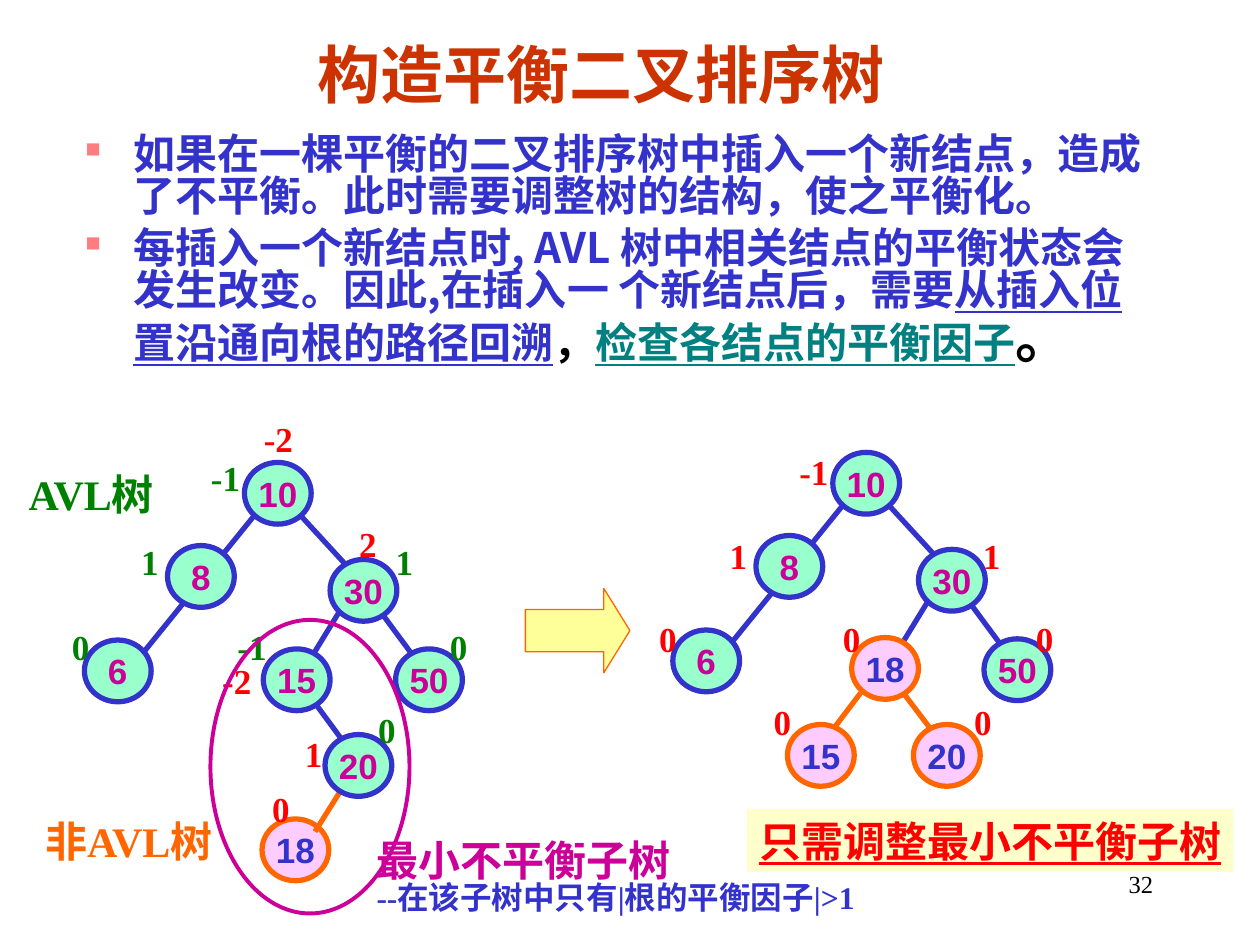
"""Build a slide on restoring the balance of a binary search tree."""
from lxml.etree import SubElement
from pptx import Presentation
from pptx.dml.color import RGBColor
from pptx.enum.shapes import MSO_CONNECTOR as Link, MSO_SHAPE as Shape
from pptx.enum.text import MSO_ANCHOR as Anchor, PP_ALIGN as Align
from pptx.oxml.ns import qn
from pptx.util import Inches, Pt

BLUE = RGBColor(0x33, 0x33, 0xCC)
BRICK = RGBColor(0xCC, 0x33, 0x00)
BLACK = RGBColor(0, 0, 0)
TEAL = RGBColor(0, 0x80, 0x80)
GREEN = RGBColor(0, 0x80, 0)
RED = RGBColor(0xFF, 0, 0)
ORANGE = RGBColor(0xFF, 0x66, 0)
MAGENTA = RGBColor(0xCC, 0, 0x99)
MINT = RGBColor(0x99, 0xFF, 0xCC)
PINK = RGBColor(0xFF, 0xCC, 0xFF)
CREAM = RGBColor(0xFF, 0xFF, 0xCC)
YELLOW = RGBColor(0xFF, 0xFF, 0x99)

SERIF, SANS, CJK = "Times New Roman", "Arial", "Noto Sans CJK SC"
NODE_W, NODE_H = 0.53, 0.49
LABEL_W, LABEL_H = 0.5, 0.44
TIGHT = 0.83
BALANCED_SHIFT = (4.67, -0.08)

TITLE = "构造平衡二叉排序树"
POINTS = [
    [("如果在一棵平衡的二叉排序树中插入一个新结点，造成了不平衡。此时需要调整树的结构，使之平衡化。", {})],
    [
        ("每插入一个新结点时, AVL 树中相关结点的平衡状态会发生改变。因此,在插入一 个新结点后，需要", {}),
        ("从插入位置沿通向根的路径回溯", {"underline": True}),
        ("，", {"color": BLACK}),
        ("检查各结点的平衡因子", {"color": TEAL, "underline": True}),
        ("。", {"color": BLACK, "size": 32, "font": SERIF}),
    ],
]
SUBTREE_NOTE = [
    [("最小不平衡子树", {"size": 24, "color": MAGENTA})],
    [("--在该子树中只有|根的平衡因子|>1", {"size": 18, "color": BLUE})],
]

OLD_NODE = (MINT, BLUE, MAGENTA)
MOVED_NODE = (PINK, ORANGE, BLUE)
SHARED_NODES = [("8", 1.33, 4.33), ("10", 1.94, 3.67), ("30", 2.62, 4.44),
                ("50", 3.14, 5.15), ("6", 0.67, 5.08)]
SHARED_LINKS = [(2.69, 4.86, 2.47, 5.22), (2.92, 4.72, 3.29, 5.22),
                (2.32, 4.02, 2.77, 4.51), (2.02, 4.09, 1.08, 5.25)]
INSERTED_NODE = [("18", 2.08, 6.5)]
INSERTED_LINK = [(2.72, 6.25, 2.5, 6.6)]
LOWER_NODES = [("15", 2.09, 5.15), ("20", 2.58, 5.83)]
LOWER_LINK = [(2.5, 5.58, 2.75, 5.92)]
ROTATED_NODES = [("18", 6.76, 5.06), ("20", 7.25, 5.75), ("15", 6.25, 5.75)]
ROTATED_LINKS = [(7.17, 5.5, 7.42, 5.83), (6.83, 5.5, 6.58, 5.83)]

FACTORS_BEFORE = [("-1", 1.79, 3.79), ("1", 1.19, 4.46), ("1", 3.21, 4.46),
                  ("0", 0.64, 5.13), ("-1", 2, 5.13), ("0", 3.64, 5.13),
                  ("0", 3.07, 5.79)]
FACTORS_INSERTED = [("1", 2.49, 5.98), ("2", 2.92, 4.31), ("-2", 1.88, 5.4),
                    ("0", 2.23, 6.42), ("-2", 2.21, 3.48)]
FACTORS_BALANCED = [("-1", 6.46, 3.74), ("1", 5.86, 4.41), ("1", 7.87, 4.41),
                    ("0", 5.3, 5.07), ("0", 6.76, 5.07), ("0", 8.29, 5.07),
                    ("0", 6.21, 5.73), ("0", 7.8, 5.73)]

prs = Presentation()
prs.slide_width, prs.slide_height = Inches(10), Inches(7.5)
slide = prs.slides.add_slide(prs.slide_layouts[6])


def add_bullet(paragraph):
    props = paragraph._p.get_or_add_pPr()
    props.set("marL", str(Inches(0.38)))
    props.set("indent", str(-Inches(0.38)))
    SubElement(SubElement(props, qn("a:buClr")), qn("a:srgbClr"), val="FF7C80")
    SubElement(props, qn("a:buSzPct"), val="50000")
    SubElement(props, qn("a:buChar"), char="■")


def write(shape, content, *, size=20, color=BLACK, font=SERIF, bold=True,
          underline=False, align=Align.LEFT, anchor=Anchor.MIDDLE, inset=0.1,
          spacing=None, gap=0, bullet=False):
    paragraphs = [[(content, {})]] if isinstance(content, str) else content
    frame = shape.text_frame
    frame.word_wrap = True
    frame.vertical_anchor = anchor
    frame.margin_left = frame.margin_right = Inches(inset)
    frame.margin_top = frame.margin_bottom = Inches(inset / 2)
    for index, runs in enumerate(paragraphs):
        paragraph = frame.add_paragraph() if index else frame.paragraphs[0]
        paragraph.alignment = align
        if spacing:
            paragraph.line_spacing = spacing
        if index and gap:
            paragraph.space_before = Pt(gap)
        if bullet:
            add_bullet(paragraph)
        for text, style in runs:
            run = paragraph.add_run()
            run.text = text
            run.font.size = Pt(style.get("size", size))
            run.font.bold = bold
            run.font.underline = style.get("underline", underline)
            run.font.color.rgb = style.get("color", color)
            run.font.name = style.get("font", font)
            SubElement(run._r.get_or_add_rPr(), qn("a:ea"), typeface=CJK)


def add_text(box, content, **style):
    write(slide.shapes.add_textbox(*map(Inches, box)), content, **style)


def add_figure(kind, box, fill=None, line=None, width=3):
    figure = slide.shapes.add_shape(kind, *map(Inches, box))
    figure.shadow.inherit = False
    if fill is None:
        figure.fill.background()
    else:
        figure.fill.solid()
        figure.fill.fore_color.rgb = fill
    if line is None:
        figure.line.fill.background()
    else:
        figure.line.color.rgb = line
        figure.line.width = Pt(width)
    return figure


def add_nodes(nodes, look, shift=(0, 0)):
    fill, line, color = look
    for key, left, top in nodes:
        box = (left + shift[0], top + shift[1], NODE_W, NODE_H)
        write(add_figure(Shape.OVAL, box, fill, line), key, color=color,
              font=SANS, align=Align.CENTER, inset=0)


def add_links(links, color, shift=(0, 0)):
    for ends in links:
        places = [Inches(end + shift[i % 2]) for i, end in enumerate(ends)]
        link = slide.shapes.add_connector(Link.STRAIGHT, *places)
        link.line.color.rgb = color
        link.line.width = Pt(3)
        SubElement(link._element.spPr, qn("a:effectLst"))


def add_factors(factors, color):
    for factor, x, y in factors:
        box = (x - LABEL_W / 2, y - LABEL_H / 2, LABEL_W, LABEL_H)
        add_text(box, factor, color=color, align=Align.CENTER, inset=0)


add_text((7.17, 6.83, 2.08, 0.36), "32", size=14, bold=False, align=Align.RIGHT)
add_text((2.42, 0.25, 5.17, 0.67), TITLE, size=36, color=BRICK)
add_text((0.58, 1.03, 8.75, 2.47), POINTS, size=24, color=BLUE, font=CJK,
         anchor=Anchor.TOP, spacing=TIGHT, gap=6, bullet=True)

add_nodes(INSERTED_NODE, MOVED_NODE)
add_links(INSERTED_LINK, ORANGE)
add_links(SHARED_LINKS + LOWER_LINK, BLUE)
add_nodes(SHARED_NODES + LOWER_NODES, OLD_NODE)
add_factors(FACTORS_BEFORE, GREEN)
add_factors(FACTORS_INSERTED, RED)
add_text((0.13, 3.67, 1.4, 0.5), "AVL树", size=24, color=GREEN)
add_text((0.26, 6.42, 1.8, 0.5), "非AVL树", size=24, color=ORANGE)
add_figure(Shape.OVAL, (1.67, 4.92, 1.58, 2.33), line=MAGENTA, width=2.25)
add_text((2.89, 6.58, 4.5, 0.8), SUBTREE_NOTE, spacing=TIGHT)

add_links(SHARED_LINKS, BLUE, BALANCED_SHIFT)
add_nodes(SHARED_NODES, OLD_NODE, BALANCED_SHIFT)
add_links(ROTATED_LINKS, ORANGE)
add_nodes(ROTATED_NODES, MOVED_NODE)
add_factors(FACTORS_BALANCED, RED)
write(add_figure(Shape.RECTANGLE, (5.93, 6.42, 3.86, 0.5), CREAM),
      "只需调整最小不平衡子树", size=24, color=RED, underline=True,
      align=Align.CENTER, inset=0)
arrow = add_figure(Shape.RIGHT_ARROW, (4.17, 4.67, 0.83, 0.67), YELLOW, ORANGE, 0.75)
arrow.adjustments[1] = 0.31

prs.save("out.pptx")
